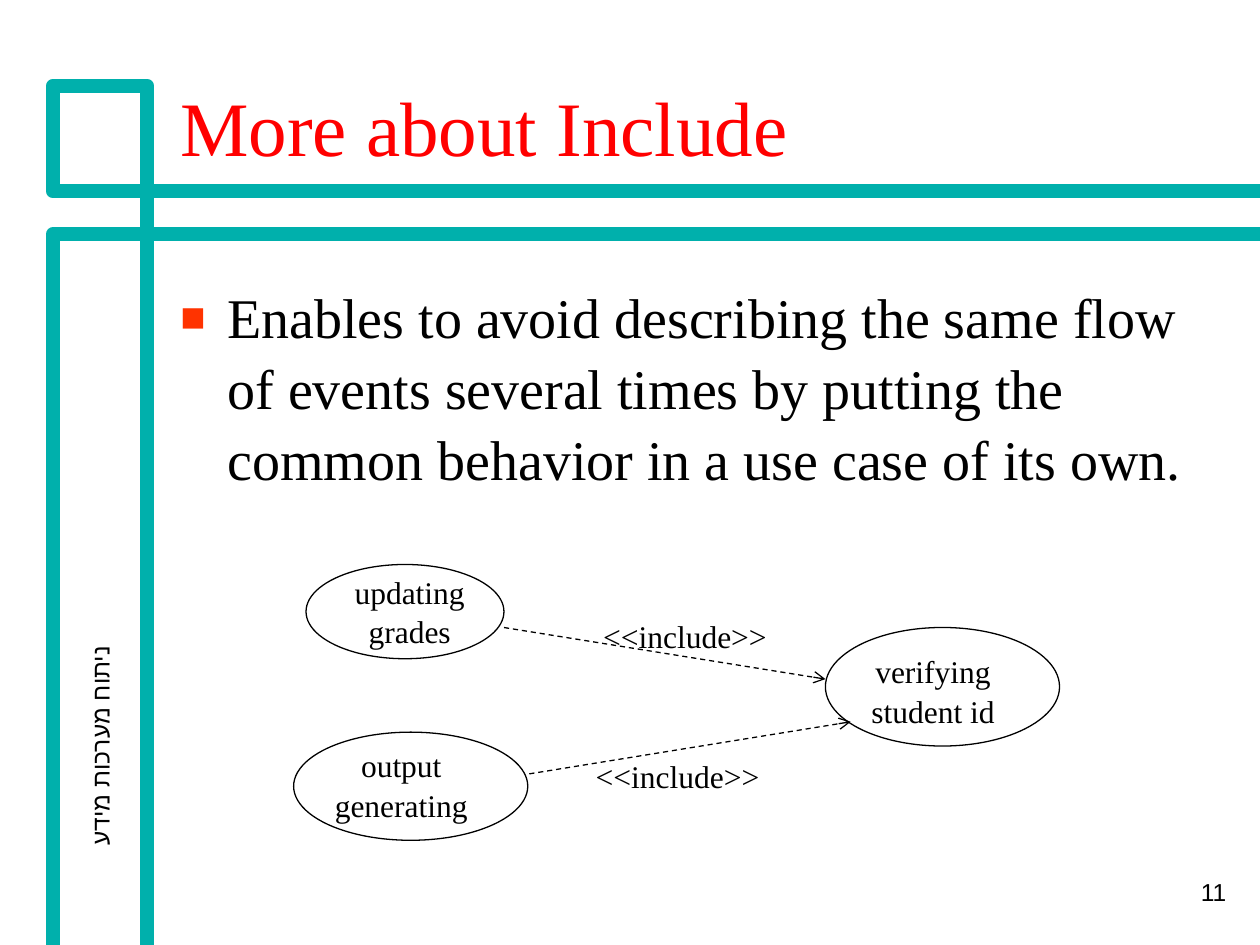
from dataclasses import dataclass

from lxml.etree import SubElement
from pptx import Presentation
from pptx.dml.color import RGBColor
from pptx.enum.dml import MSO_LINE
from pptx.enum.shapes import MSO_CONNECTOR, MSO_SHAPE
from pptx.enum.text import MSO_ANCHOR, MSO_AUTO_SIZE, PP_ALIGN
from pptx.oxml.ns import qn
from pptx.util import Cm, Pt


@dataclass(frozen=True)
class Theme:
    serif: str = "Times New Roman"
    sans: str = "Arial"
    ink: str = "000000"
    title: str = "FF0000"
    bullet: str = "FF3300"
    frame: str = "00B0AC"
    title_size: int = 44
    body_size: int = 32
    label_size: int = 18
    footer_size: int = 14
    frame_width: float = 8
    line_width: float = 0.75
    line_spacing: float = 1.05


THEME = Theme()
SLIDE_WIDTH, SLIDE_HEIGHT = 25.4, 19.05


def place(shape, left, top, width, height):
    shape.left, shape.top = Cm(left), Cm(top)
    shape.width, shape.height = Cm(width), Cm(height)


def add_span(para, text, size, color=THEME.ink, font=THEME.serif):
    span = para.add_run()
    span.text = text
    span.font.size = Pt(size)
    span.font.name = font
    span.font.color.rgb = RGBColor.from_string(color)
    SubElement(span.font._element, qn("a:cs"), typeface=font)


def style_line(line, color, width):
    line.color.rgb = RGBColor.from_string(color)
    line.width = Pt(width)


def add_text(page, area, lines, size, align, font=THEME.serif,
             anchor=MSO_ANCHOR.TOP, spacing=None):
    box = page.shapes.add_textbox(*map(Cm, area))
    frame = box.text_frame
    frame.word_wrap = True
    frame.vertical_anchor = anchor
    for index, text in enumerate(lines):
        para = frame.add_paragraph() if index else frame.paragraphs[0]
        para.alignment = align
        para.line_spacing = spacing
        add_span(para, text, size, font=font)
    return box


def add_frame_line(page, points):
    """Draw one open, round-cornered line of the page frame."""
    corners = [(Cm(x), Cm(y)) for x, y in points]
    builder = page.shapes.build_freeform(*corners[0])
    builder.add_line_segments(corners[1:], close=False)
    shape = builder.convert_to_shape()
    shape.shadow.inherit = False
    shape.fill.background()
    style_line(shape.line, THEME.frame, THEME.frame_width)
    SubElement(shape.line._get_or_add_ln(), qn("a:round"))


def add_title(page, text):
    title = page.shapes.title
    place(title, 3.38, 0.58, 21.59, 3.02)
    title.text_frame.auto_size = MSO_AUTO_SIZE.NONE
    title.text_frame.vertical_anchor = MSO_ANCHOR.BOTTOM
    para = title.text_frame.paragraphs[0]
    para.alignment = PP_ALIGN.LEFT
    add_span(para, text, THEME.title_size, THEME.title)


def add_bullet(para):
    properties = para._p.get_or_add_pPr()
    properties.set("marL", str(Cm(0.95)))
    properties.set("indent", str(-Cm(0.95)))
    color = SubElement(properties, qn("a:buClr"))
    SubElement(color, qn("a:srgbClr"), val=THEME.bullet)
    SubElement(properties, qn("a:buSzPct"), val="75000")
    SubElement(properties, qn("a:buFont"), typeface=THEME.sans)
    SubElement(properties, qn("a:buChar"), char="■")


def add_body(page, text):
    body = page.placeholders[1]
    place(body, 3.38, 5.51, 21.59, 11.43)
    body.text_frame.auto_size = MSO_AUTO_SIZE.NONE
    para = body.text_frame.paragraphs[0]
    add_bullet(para)
    para.space_before = Pt(0)
    para.line_spacing = THEME.line_spacing
    add_span(para, text, THEME.body_size)


def add_label(page, area, lines, align=PP_ALIGN.CENTER):
    add_text(page, area, lines, THEME.label_size, align,
             spacing=THEME.line_spacing)


def add_use_case(page, oval_area, label_area, lines):
    oval = page.shapes.add_shape(MSO_SHAPE.OVAL, *map(Cm, oval_area))
    oval.shadow.inherit = False
    oval.fill.background()
    style_line(oval.line, THEME.ink, THEME.line_width)
    add_label(page, label_area, lines)


def add_include(page, start, end, label_left, label_top):
    """Draw a dashed arrow with its include label."""
    arrow = page.shapes.add_connector(
        MSO_CONNECTOR.STRAIGHT, *map(Cm, (*start, *end)))
    style_line(arrow.line, THEME.ink, THEME.line_width)
    arrow.line.dash_style = MSO_LINE.DASH
    SubElement(arrow.line._get_or_add_ln(), qn("a:tailEnd"), type="arrow")
    SubElement(arrow._element.spPr, qn("a:effectLst"))
    add_label(page, (label_left, label_top, 4.83, 1.02), ["<<include>>"],
              PP_ALIGN.LEFT)


def add_footer(page):
    course = add_text(page, (-2.01, 14.4, 8.05, 1.27), ["ניתוח מערכות מידע"],
                      THEME.footer_size, PP_ALIGN.CENTER, THEME.sans,
                      MSO_ANCHOR.MIDDLE)
    course.rotation = 270
    add_text(page, (19.69, 17.35, 5.28, 1.27), ["11"], THEME.footer_size,
             PP_ALIGN.RIGHT, THEME.sans, MSO_ANCHOR.MIDDLE)


def main():
    deck = Presentation()
    deck.slide_width, deck.slide_height = Cm(SLIDE_WIDTH), Cm(SLIDE_HEIGHT)
    page = deck.slides.add_slide(deck.slide_layouts[1])

    add_frame_line(page, [(SLIDE_WIDTH, 4.72), (1.07, 4.72),
                          (1.07, SLIDE_HEIGHT)])
    add_frame_line(page, [(2.97, SLIDE_HEIGHT), (2.97, 1.73), (1.07, 1.73),
                          (1.07, 3.86), (SLIDE_WIDTH, 3.86)])
    add_footer(page)
    add_title(page, "More about Include")
    add_body(page, "Enables to avoid describing the same flow of events "
                   "several times by putting the common behavior in a use "
                   "case of its own.")

    add_use_case(page, (6.17, 11.38, 3.99, 1.9), (6.43, 11.38, 3.66, 1.78),
                 ["updating", "grades"])
    add_use_case(page, (5.92, 14.76, 4.72, 2.18), (5.92, 14.88, 4.34, 1.78),
                 ["output", "generating"])
    add_use_case(page, (16.64, 12.65, 4.72, 2.39), (16.64, 12.98, 4.34, 1.78),
                 ["verifying", "student id"])
    add_include(page, (10.16, 12.65), (16.64, 13.69), 11.91, 12.27)
    add_include(page, (10.67, 15.6), (17.15, 14.55), 11.76, 15.09)

    deck.save("out.pptx")


if __name__ == "__main__":
    main()
